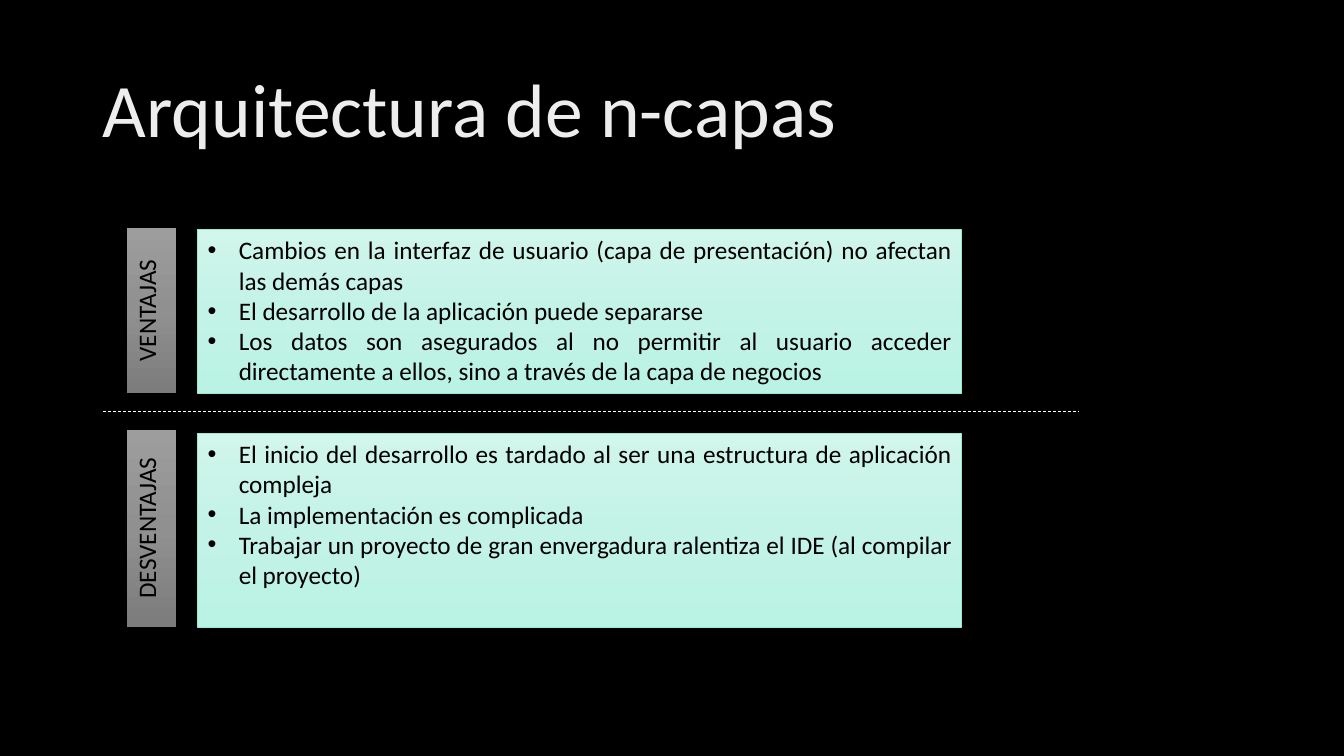
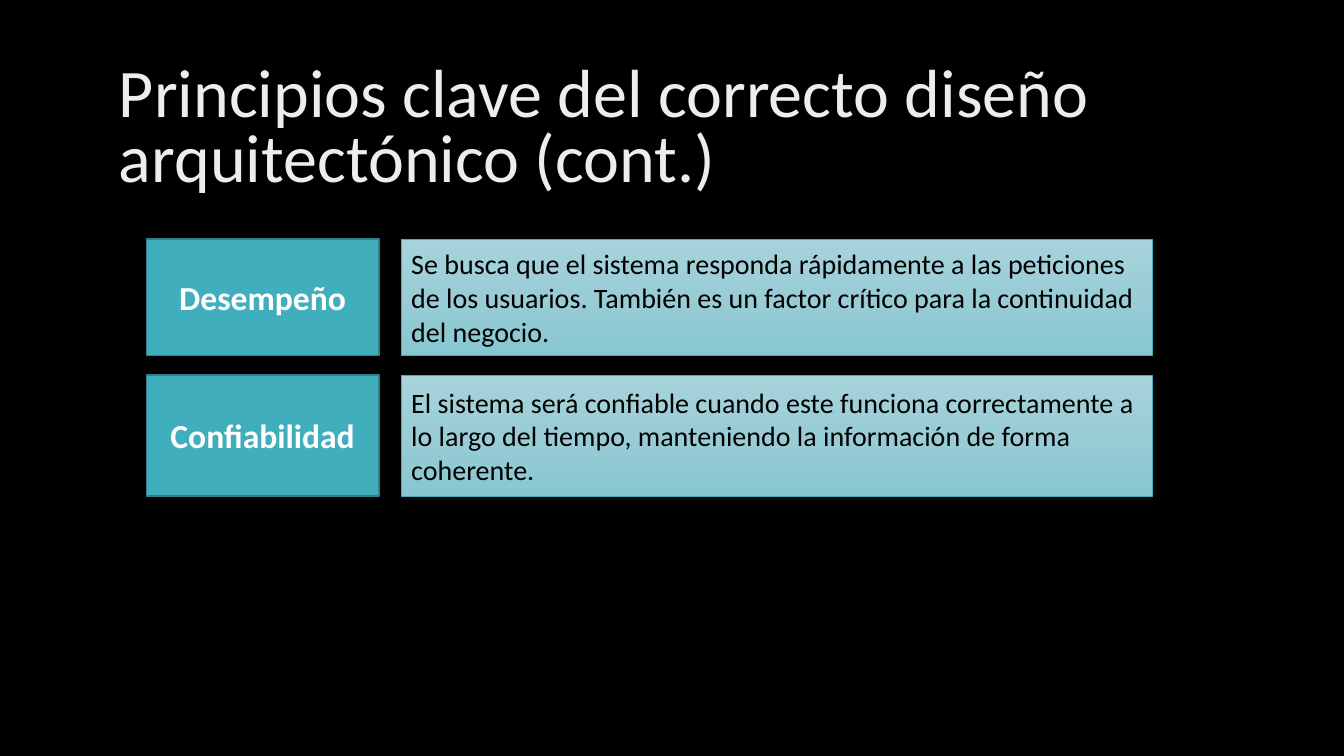
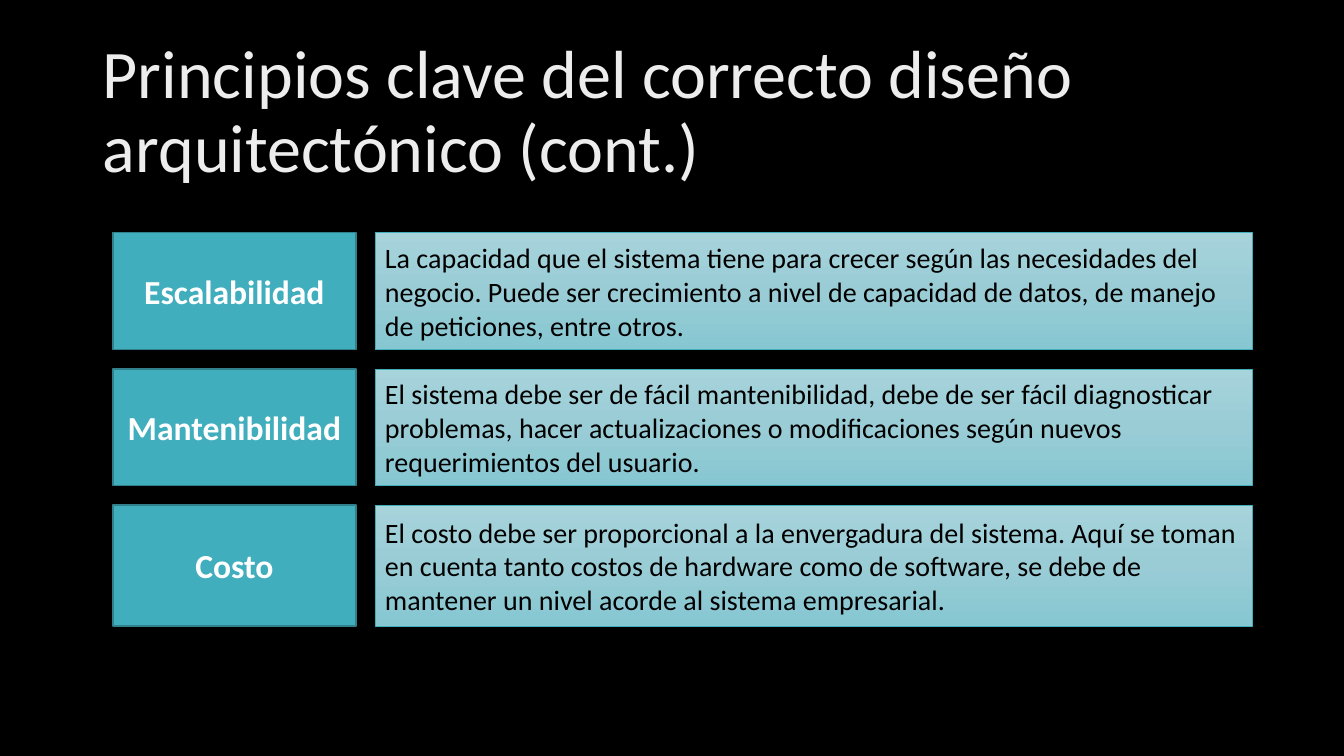
from copy import deepcopy
from dataclasses import dataclass

from pptx import Presentation
from pptx.dml.color import RGBColor
from pptx.enum.dml import MSO_LINE
from pptx.enum.shapes import MSO_CONNECTOR, MSO_SHAPE
from pptx.enum.text import MSO_ANCHOR as Anchor, MSO_AUTO_SIZE, PP_ALIGN as Align
from pptx.oxml.ns import qn
from pptx.oxml.xmlchemy import OxmlElement
from pptx.util import Inches, Pt


@dataclass(frozen=True)
class Theme:
    font: str = "Calibri"
    background: str = "000000"
    title: str = "EDEDED"
    dark: str = "000000"
    light: str = "FFFFFF"
    mint: tuple = ("D1F6EC", "C3F2E6", "BAF3E4")
    mint_edge: str = "97E9D5"
    gray: tuple = ("9D9D9D", "909090", "7C7C7C")
    teal: tuple = ("41AEBD",)
    teal_edge: str = "30818C"
    sky: tuple = ("A7D3DB", "99CCD5", "86C7D2")
    sky_edge: str = "41AEBD"
    title_large: float = 54
    title_small: float = 48.6
    label_size: float = 24
    text_size: float = 20
    list_size: float = 18


theme = Theme()
rgb = RGBColor.from_string

SIDE_LABEL = dict(fill=theme.gray, edge=theme.dark, edge_width=0.5, color=theme.dark,
                  frame=dict(vertical_anchor=Anchor.TOP), paragraph=dict(alignment=Align.CENTER),
                  font=dict(size=Pt(theme.list_size)), body=dict(vert="vert270"), bullet=False)
POINT_LIST = dict(fill=theme.mint, edge=theme.mint_edge, edge_width=0.5, color=theme.dark,
                  frame=dict(vertical_anchor=Anchor.TOP), paragraph=dict(alignment=Align.JUSTIFY),
                  font=dict(size=Pt(theme.list_size)), body={}, bullet=True)
PRINCIPLE = dict(fill=theme.teal, edge=theme.teal_edge, edge_width=1, color=theme.light,
                 frame=dict(vertical_anchor=Anchor.MIDDLE), paragraph=dict(alignment=Align.CENTER),
                 font=dict(size=Pt(theme.label_size), bold=True), body={}, bullet=False)
EXPLANATION = dict(fill=theme.sky, edge=theme.sky_edge, edge_width=0.5, color=theme.dark,
                   frame=dict(vertical_anchor=Anchor.MIDDLE), paragraph=dict(alignment=Align.LEFT),
                   font=dict(size=Pt(theme.text_size)), body={}, bullet=False)


def add_titled_slide(heading, size, left=0.92, top=0.4, line_spacing=0.9):
    slide = deck.slides.add_slide(deck.slide_layouts[5])
    title = slide.shapes.title
    title.text = heading
    paragraph = title.text_frame.paragraphs[0]
    place = dict(left=Inches(left), top=Inches(top), width=Inches(11.5), height=Inches(1.45))
    frame = dict(vertical_anchor=Anchor.MIDDLE, word_wrap=True, auto_size=MSO_AUTO_SIZE.NONE)
    spacing = dict(alignment=Align.LEFT, line_spacing=line_spacing)
    font = dict(name=theme.font, size=Pt(size))
    for target, values in ((title, place), (title.text_frame, frame),
                           (paragraph, spacing), (paragraph.runs[0].font, font)):
        for name, value in values.items():
            setattr(target, name, value)
    paragraph.runs[0].font.color.rgb = rgb(theme.title)
    return slide


def add_panel(slide, left, top, width, height, texts, style):
    panel = slide.shapes.add_shape(MSO_SHAPE.RECTANGLE, Inches(left), Inches(top),
                                   Inches(width), Inches(height))
    panel.shadow.inherit = False
    panel.line.color.rgb = rgb(style["edge"])
    panel.line.width = Pt(style["edge_width"])
    if len(style["fill"]) == 1:
        panel.fill.solid()
        panel.fill.fore_color.rgb = rgb(style["fill"][0])
    else:
        panel.fill.gradient()
        panel.fill.gradient_angle = 270
        stop_list = panel._element.spPr.find(".//" + qn("a:gsLst"))
        stop_list.append(deepcopy(stop_list[0]))
        for stop, color, position in zip(panel.fill.gradient_stops, style["fill"], (0, 0.5, 1)):
            stop.color.rgb = rgb(color)
            stop.position = position
    frame = panel.text_frame
    frame.text = "\n".join(texts)
    for name, value in style["frame"].items():
        setattr(frame, name, value)
    for name, value in style["body"].items():
        frame._txBody.bodyPr.set(name, value)
    for paragraph in frame.paragraphs:
        font = paragraph.runs[0].font
        for target, values in ((paragraph, style["paragraph"]),
                               (font, dict(name=theme.font, **style["font"]))):
            for name, value in values.items():
                setattr(target, name, value)
        font.color.rgb = rgb(style["color"])
        if style["bullet"]:
            properties = paragraph._p.get_or_add_pPr()
            properties.set("marL", str(Inches(0.31)))
            properties.set("indent", str(-Inches(0.31)))
            for tag, name, value in (("a:buFont", "typeface", "Arial"), ("a:buChar", "char", "•")):
                mark = OxmlElement(tag)
                mark.set(name, value)
                properties.append(mark)


deck = Presentation()
deck.slide_width = Inches(13.33)
deck.slide_height = Inches(7.5)
master_fill = deck.slide_master.background.fill
master_fill.solid()
master_fill.fore_color.rgb = rgb(theme.background)

layers = add_titled_slide("Arquitectura de n-capas", theme.title_large)
sides = [
    ("VENTAJAS", 2.26, 2.28, 3.9, [
        "Cambios en la interfaz de usuario (capa de presentación) no afectan las demás capas",
        "El desarrollo de la aplicación puede separarse",
        "Los datos son asegurados al no permitir al usuario acceder directamente a ellos, "
        "sino a través de la capa de negocios",
    ]),
    ("DESVENTAJAS", 4.26, 4.3, 6.22, [
        "El inicio del desarrollo es tardado al ser una estructura de aplicación compleja",
        "La implementación es complicada",
        "Trabajar un proyecto de gran envergadura ralentiza el IDE (al compilar el proyecto)",
    ]),
]
for side, label_top, list_top, bottom, points in sides:
    add_panel(layers, 1.96, list_top, 7.58, bottom - list_top, points, POINT_LIST)
    add_panel(layers, 1.25, label_top, 0.5, bottom - label_top, [side], SIDE_LABEL)

divider = layers.shapes.add_connector(MSO_CONNECTOR.STRAIGHT, Inches(1.02), Inches(4.08),
                                      Inches(10.7), Inches(4.08))
divider.line.color.rgb = rgb(theme.light)
divider.line.width = Pt(0.5)
divider.line.dash_style = MSO_LINE.DASH
divider._element.spPr.append(OxmlElement("a:effectLst"))

ROW_GAP = 0.19
principle_slides = [
    (dict(left=1.08, top=0.57, line_spacing=0.8), 2.37, (1.45, 2.31), (3.98, 7.45), [
        ("Desempeño", 1.16,
         "Se busca que el sistema responda rápidamente a las peticiones de los usuarios. "
         "También es un factor crítico para la continuidad del negocio."),
        ("Confiabilidad", 1.2,
         "El sistema será confiable cuando este funciona correctamente a lo largo del tiempo, "
         "manteniendo la información de forma coherente."),
    ]),
    ({}, 2.31, (1.12, 2.41), (3.72, 8.7), [
        ("Escalabilidad", 1.16,
         "La capacidad que el sistema tiene para crecer según las necesidades del negocio. "
         "Puede ser crecimiento a nivel de capacidad de datos, de manejo de peticiones, entre otros."),
        ("Mantenibilidad", 1.16,
         "El sistema debe ser de fácil mantenibilidad, debe de ser fácil diagnosticar problemas, "
         "hacer actualizaciones o modificaciones según nuevos requerimientos del usuario."),
        ("Costo", 1.2,
         "El costo debe ser proporcional a la envergadura del sistema. Aquí se toman en cuenta "
         "tanto costos de hardware como de software, se debe de mantener un nivel acorde al "
         "sistema empresarial."),
    ]),
]
for title_format, row_top, name_column, text_column, principles in principle_slides:
    slide = add_titled_slide("Principios clave del correcto diseño arquitectónico (cont.)",
                             theme.title_small, **title_format)
    for principle, row_height, explanation in principles:
        for (left, width), text, style in ((name_column, principle, PRINCIPLE),
                                           (text_column, explanation, EXPLANATION)):
            add_panel(slide, left, row_top, width, row_height, [text], style)
        row_top += row_height + ROW_GAP

deck.save("out.pptx")
